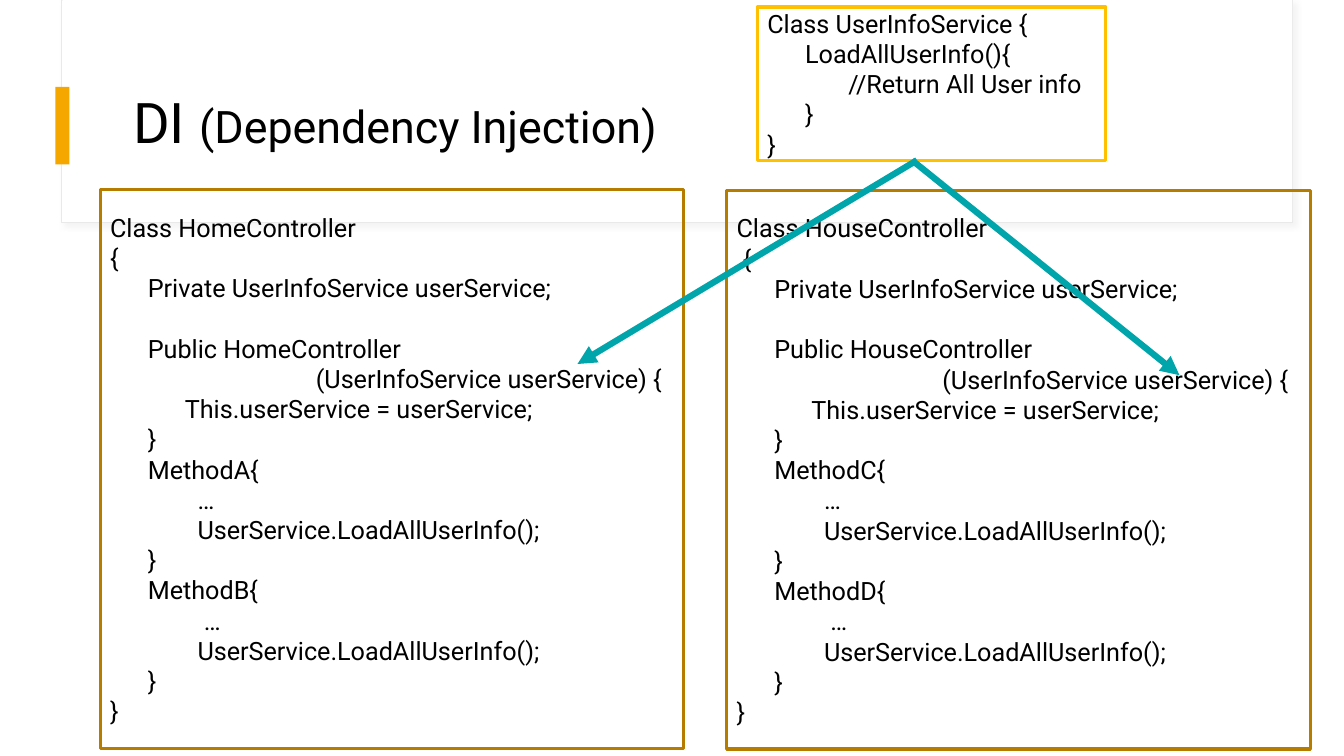
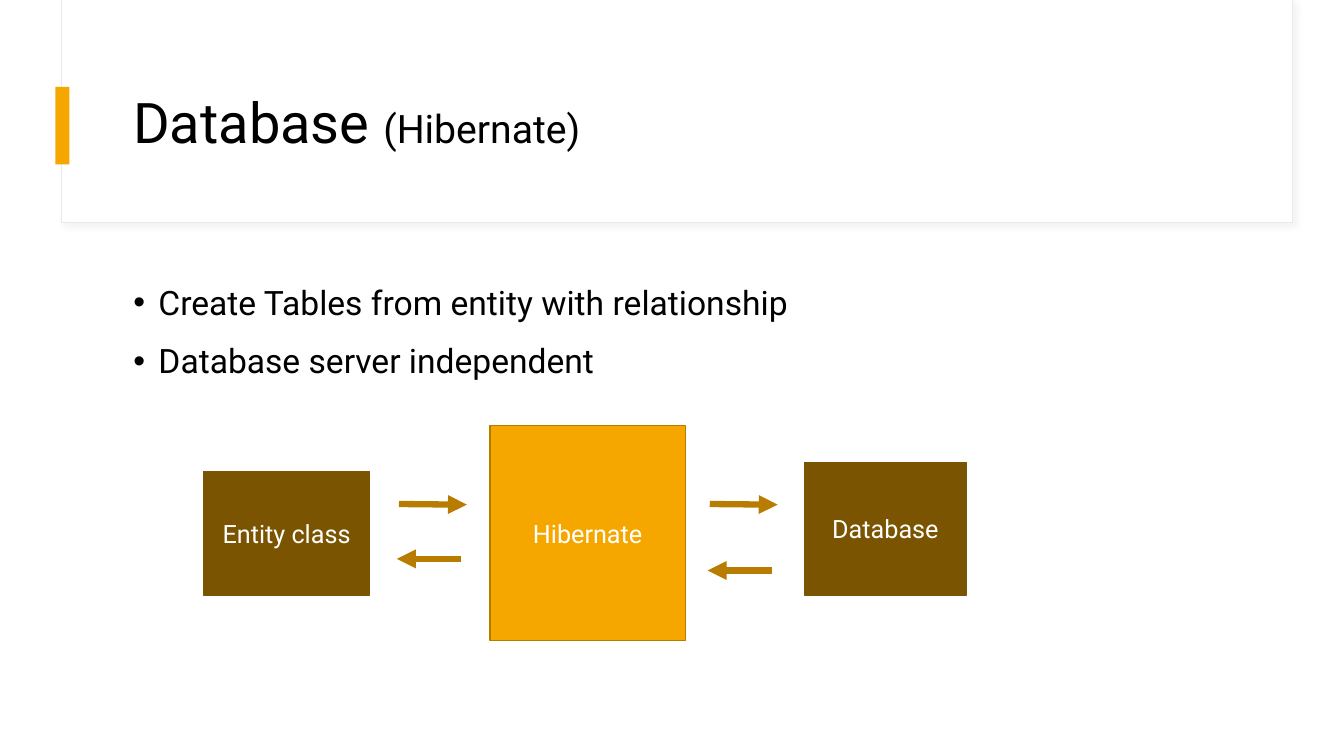
import pptx
import pptx.util
import pptx.dml.color
import pptx.enum.shapes
import pptx.enum.text
import pptx.oxml.ns
from lxml import etree

Pt = pptx.util.Pt
ALIGN = pptx.enum.text.PP_ALIGN
MIDDLE = pptx.enum.text.MSO_ANCHOR.MIDDLE

# Shared style
FONT = "Roboto"
BLACK, WHITE = "000000", "FFFFFF"
AMBER, GOLD, OCHRE, BROWN = "F5A700", "FFC000", "B57C00", "7A5400"
TEAL, ARROW_OCHRE = "00A5AB", "B87D00"
BAND_LINE, BAND_SHADOW = "E9E9E9", "D9D9D9"
CODE_LINE = 21.6  # height of one line of code


def rgb(value):
    return pptx.dml.color.RGBColor.from_string(value)


def add_xml(parent, tag, **attributes):
    child = etree.SubElement(parent, pptx.oxml.ns.qn(tag))
    for key, value in attributes.items():
        child.set(key, str(value))
    return child


def write(paragraph, text, size=18, color=BLACK, align=ALIGN.LEFT,
          spacing=1.0, before=0, indent=0, hanging=0):
    """Add a run and format its paragraph."""
    run = paragraph.add_run()
    run.text = text
    run.font.name, run.font.size = FONT, Pt(size)
    run.font.color.rgb = rgb(color)
    paragraph.alignment, paragraph.line_spacing = align, spacing
    paragraph.space_before = Pt(before)
    properties = paragraph._p.get_or_add_pPr()
    properties.set("marL", str(Pt(indent)))
    properties.set("indent", str(-Pt(hanging)))


def next_paragraph(frame, index):
    return frame.add_paragraph() if index else frame.paragraphs[0]


def add_box(shapes, left, top, width, height, fill=None, line=None, weight=1):
    box = shapes.add_shape(pptx.enum.shapes.MSO_SHAPE.RECTANGLE,
                           Pt(left), Pt(top), Pt(width), Pt(height))
    box.shadow.inherit = False
    if fill:
        box.fill.solid()
        box.fill.fore_color.rgb = rgb(fill)
    else:
        box.fill.background()
    if line:
        box.line.color.rgb = rgb(line)
        box.line.width = Pt(weight)
    else:
        box.line.fill.background()
    box.text_frame.word_wrap = True
    box.text_frame.vertical_anchor = MIDDLE
    return box


def add_arrow(shapes, start, end, color):
    arrow = shapes.add_connector(pptx.enum.shapes.MSO_CONNECTOR.STRAIGHT,
                                 *(Pt(value) for value in (*start, *end)))
    arrow.line.color.rgb = rgb(color)
    arrow.line.width = Pt(4.5)
    add_xml(arrow.line._get_or_add_ln(), "a:tailEnd", type="triangle")
    add_xml(arrow.element.spPr, "a:effectLst")


def add_code(shapes, left, top, width, height, line, code):
    """Code is a list of (indent, text) lines; an empty text is a gap."""
    frame = add_box(shapes, left, top, width, height,
                    line=line, weight=2.25).text_frame
    count, gap = 0, 0
    for indent, text in code:
        if not text:
            gap = CODE_LINE
            continue
        write(next_paragraph(frame, count), text, indent=indent, before=gap)
        count, gap = count + 1, 0


def add_labelled_box(shapes, label, left, top, width, height, fill, line):
    box = add_box(shapes, left, top, width, height, fill, line)
    write(box.text_frame.paragraphs[0], label, color=WHITE, align=ALIGN.CENTER)


def controller_code(name, first_method, second_method, brace_indent=0):
    return [
        (0, f"Class {name}"),
        (brace_indent, "{"),
        (27, "Private UserInfoService userService;"),
        (0, ""),
        (27, f"Public {name}"),
        (147, "(UserInfoService userService) {"),
        (53.5, "This.userService = userService;"),
        (27, "}"),
        (27, first_method + "{"),
        (62.5, "…"),
        (62.5, "UserService.LoadAllUserInfo();"),
        (27, "}"),
        (27, second_method + "{"),
        (67, "…"),
        (62.5, "UserService.LoadAllUserInfo();"),
        (27, "}"),
        (0, "}"),
    ]


def style_master(master, slide):
    """Place the title and body, and move the header band to the master."""
    for holder in master.placeholders:
        kind = holder.placeholder_format.type
        if kind == pptx.enum.shapes.PP_PLACEHOLDER.TITLE:
            place = (88, 43, 800.5, 93)
        elif kind == pptx.enum.shapes.PP_PLACEHOLDER.BODY:
            place = (88, 195, 800.5, 291)
        else:
            continue
        holder.left, holder.top, holder.width, holder.height = map(Pt, place)

    frame = add_box(slide.shapes, 44, 0, 879, 159, WHITE, BAND_LINE, 0.75)
    effects = frame.element.spPr.find(pptx.oxml.ns.qn("a:effectLst"))
    shadow = add_xml(effects, "a:outerShdw", blurRad=Pt(4), dist=Pt(3),
                     dir=45 * 60000, algn="tl", rotWithShape=0)
    shade = add_xml(shadow, "a:srgbClr", val=BAND_SHADOW)
    add_xml(shade, "a:alpha", val=30000)
    panel = add_box(slide.shapes, 44.6, 0, 878.4, 158.4, WHITE)
    marker = add_box(slide.shapes, 39.5, 62, 10, 55.5, AMBER)
    first_holder = master.placeholders[0].element
    for part in (frame, panel, marker):
        first_holder.addprevious(part.element)


def add_title(slide, topic, detail, detail_size):
    frame = slide.shapes.title.text_frame
    frame.auto_size = pptx.enum.text.MSO_AUTO_SIZE.NONE
    frame.vertical_anchor = MIDDLE
    for text, size in ((topic + " ", 40), (detail, detail_size)):
        write(frame.paragraphs[0], text, size=size, spacing=0.9)


def add_bullets(slide, items):
    frame = slide.placeholders[1].text_frame
    frame.auto_size = pptx.enum.text.MSO_AUTO_SIZE.NONE
    for index, item in enumerate(items):
        paragraph = next_paragraph(frame, index)
        write(paragraph, item, size=24, spacing=1.1, before=10,
              indent=18, hanging=18)
        add_xml(paragraph._p.get_or_add_pPr(), "a:buChar", char="•")


def fill_injection_slide(slide):
    add_title(slide, "DI", "(Dependency Injection)", 32)
    shapes = slide.shapes
    add_code(shapes, 71.5, 135.5, 417, 399, OCHRE,
             controller_code("HomeController", "MethodA", "MethodB"))
    add_code(shapes, 541, 5, 249, 109.5, GOLD, [
        (0, "Class UserInfoService {"),
        (27, "LoadAllUserInfo(){"),
        (58, "//Return All User info"),
        (27, "}"),
        (0, "}"),
    ])
    add_code(shapes, 519, 136, 417, 399, OCHRE,
             controller_code("HouseController", "MethodC", "MethodD", 4.5))
    add_arrow(shapes, (655, 114.5), (412.5, 260), TEAL)
    add_arrow(shapes, (651.5, 114.5), (842.5, 268), TEAL)


def fill_database_slide(slide):
    add_title(slide, "Database", "(Hibernate)", 28)
    add_bullets(slide, ["Create Tables from entity with relationship",
                        "Database server independent"])
    # Mapping between classes and tables
    diagram = slide.shapes.add_group_shape().shapes
    add_labelled_box(diagram, "Entity class", 145.5, 337, 118.5, 88, BROWN, BROWN)
    add_labelled_box(diagram, "Database", 574.5, 330.5, 116, 94.5, BROWN, BROWN)
    add_labelled_box(diagram, "Hibernate", 350, 304, 139.5, 153.5, AMBER, OCHRE)
    for left, back_y in ((285, 399.2), (507, 407.5)):
        add_arrow(diagram, (left, 360), (left + 48.5, 360.5), ARROW_OCHRE)
        add_arrow(diagram, (left + 44.5, back_y), (left - 1.5, back_y), ARROW_OCHRE)


def main():
    deck = pptx.Presentation()
    deck.slide_width, deck.slide_height = Pt(960), Pt(540)
    title_only, title_and_body = deck.slide_layouts[5], deck.slide_layouts[1]
    injection = deck.slides.add_slide(title_only)
    style_master(deck.slide_master, injection)
    fill_injection_slide(injection)
    fill_database_slide(deck.slides.add_slide(title_and_body))
    deck.save("out.pptx")


if __name__ == "__main__":
    main()
